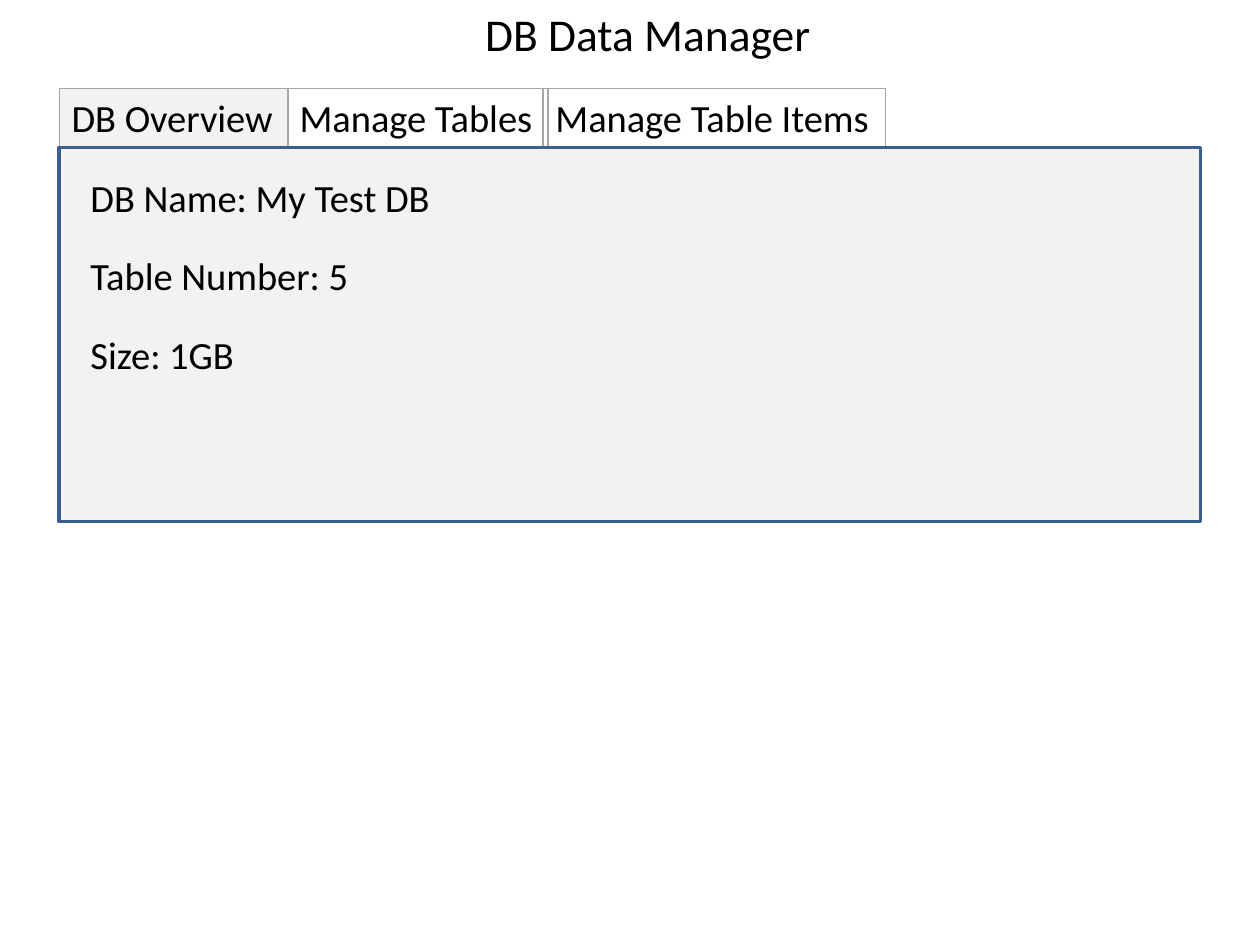
"""Build the database manager screen with its tabs and overview panel."""
from pptx import Presentation
from pptx.dml.color import RGBColor
from pptx.enum.shapes import MSO_SHAPE as Shape
from pptx.enum.text import MSO_ANCHOR as Anchor, MSO_AUTO_SIZE as AutoSize, PP_ALIGN as Align
from pptx.util import Inches, Pt

BLACK = RGBColor(0x00, 0x00, 0x00)
PANEL_GRAY = RGBColor(0xF2, 0xF2, 0xF2)
TAB_LINE = RGBColor(0xA6, 0xA6, 0xA6)
PANEL_LINE = RGBColor(0x3A, 0x5F, 0x8C)

COLUMNS, ROWS = 100, 75
MARGIN = 4.7
TAB_TOP, TAB_HEIGHT = 7, 4.7
FIELD_LEFT, FIELD_TOP, FIELD_STEP = 6.2, 13.3, 6.25


def write_text(shape, text, size=22, font="Calibri", color=BLACK):
    frame = shape.text_frame
    frame.text = text
    frame.word_wrap = False
    frame.auto_size = AutoSize.SHAPE_TO_FIT_TEXT
    frame.vertical_anchor = Anchor.TOP
    paragraph = frame.paragraphs[0]
    paragraph.alignment = Align.LEFT
    run_font = paragraph.runs[0].font
    run_font.name, run_font.size = font, Pt(size)
    run_font.color.rgb = color


class Screen:
    def __init__(self, presentation):
        self.column = presentation.slide_width / COLUMNS
        self.row = presentation.slide_height / ROWS
        self.slide = presentation.slides.add_slide(presentation.slide_layouts[5])

    def place(self, left, top, width, height):
        return (round(left * self.column), round(top * self.row),
                round(width * self.column), round(height * self.row))

    def title(self, text, *box):
        title = self.slide.shapes.title
        title.left, title.top, title.width, title.height = self.place(*box)
        write_text(title, text, size=26)

    def rectangle(self, *box, line, weight, fill=None):
        shape = self.slide.shapes.add_shape(Shape.RECTANGLE, *self.place(*box))
        shape.shadow.inherit = False
        if fill is None:
            shape.fill.background()
        else:
            shape.fill.solid()
            shape.fill.fore_color.rgb = fill
        shape.line.color.rgb = line
        shape.line.width = Pt(weight)
        return shape

    def tab(self, text, left, width, fill=None):
        shape = self.rectangle(left, TAB_TOP, width, TAB_HEIGHT,
                               line=TAB_LINE, weight=0.75, fill=fill)
        write_text(shape, text)

    def field(self, text, *box):
        write_text(self.slide.shapes.add_textbox(*self.place(*box)), text)


presentation = Presentation()
presentation.slide_width, presentation.slide_height = Inches(10), Inches(7.5)
screen = Screen(presentation)

screen.title("DB Data Manager", 37.5, 0, 28.1, 5.4)

screen.tab("DB Overview", MARGIN, 18.2, fill=PANEL_GRAY)
screen.tab("Manage Tables", 22.8, 20.7)
screen.tab("Manage Table Items", 43.1, 27.2)

screen.rectangle(MARGIN, TAB_TOP + TAB_HEIGHT, COLUMNS - 2 * MARGIN, 29.7,
                 line=PANEL_LINE, weight=2, fill=PANEL_GRAY)

fields = [("DB Name: My Test DB", 29.3), ("Table Number: 5", 22.7), ("Size: 1GB", 13.6)]
for index, (text, width) in enumerate(fields):
    screen.field(text, FIELD_LEFT, FIELD_TOP + index * FIELD_STEP, width, TAB_HEIGHT)

presentation.save("out.pptx")
